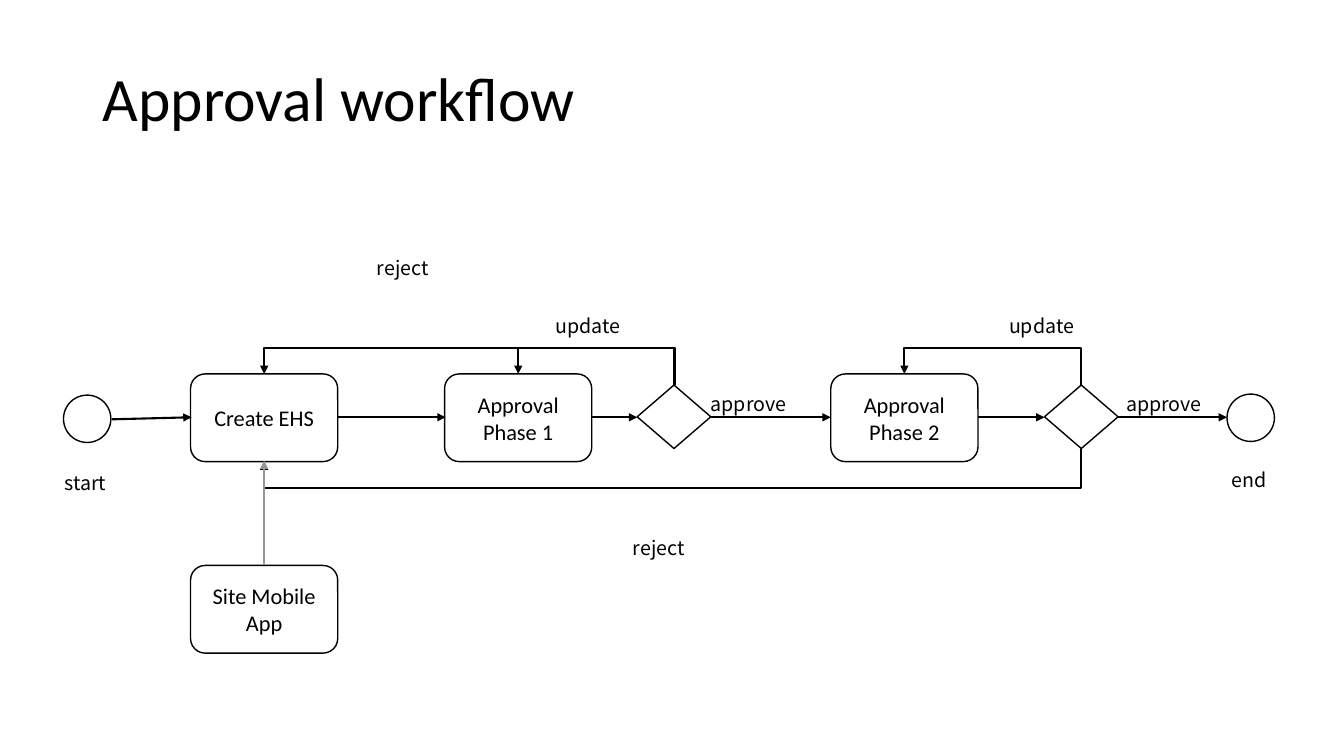
from pptx import Presentation
from pptx.dml.color import RGBColor
from pptx.enum.shapes import MSO_CONNECTOR, MSO_SHAPE
from pptx.enum.text import MSO_ANCHOR, MSO_AUTO_SIZE, PP_ALIGN
from pptx.oxml.ns import qn
from pptx.util import Pt
from lxml import etree

STRAIGHT, ELBOW = MSO_CONNECTOR.STRAIGHT, MSO_CONNECTOR.ELBOW
BOX, GATE, EVENT = MSO_SHAPE.ROUNDED_RECTANGLE, MSO_SHAPE.DIAMOND, MSO_SHAPE.OVAL
MIDDLE, LEFT, CENTER = MSO_ANCHOR.MIDDLE, PP_ALIGN.LEFT, PP_ALIGN.CENTER
GROW = MSO_AUTO_SIZE.SHAPE_TO_FIT_TEXT
PX = 9144  # 100 px to the inch
COLORS = {"ink": "000000", "paper": "FFFFFF", "mobile": "979797"}


def write(frame, text, font, size):
    paragraph = frame.paragraphs[0]
    run = paragraph.add_run()
    run.text = text
    run.font.name = font
    run.font.size = Pt(size)
    run.font.color.rgb = RGBColor.from_string(COLORS["ink"])
    return paragraph


def arrow(kind, x1, y1, x2, y2, color="ink"):
    ends = [round(v * PX) for v in (x1, y1, x2, y2)]
    flow = slide.shapes.add_connector(kind, *ends)
    flow.line.width = Pt(1.5)
    flow.line.color.rgb = RGBColor.from_string(COLORS[color])
    properties = flow.element.spPr
    etree.SubElement(properties.find(qn("a:ln")), qn("a:tailEnd"), type="triangle")
    etree.SubElement(properties, qn("a:effectLst"))
    return properties


prs = Presentation()
prs.slide_width, prs.slide_height = 1333 * PX, 750 * PX
slide = prs.slides.add_slide(prs.slide_layouts[5])

# Title
title = slide.shapes.title
title.left, title.top, title.width, title.height = 92 * PX, 40 * PX, 1006 * PX, 122 * PX
title.text_frame.vertical_anchor = MIDDLE
heading = write(title.text_frame, "Approval workflow", "Calibri", 44)
heading.alignment = LEFT
heading.line_spacing = 0.9

# Steps, gateways and events
SIZES = {BOX: (146, 87), GATE: (73, 63), EVENT: (47, 47)}
nodes = [
    (BOX, 189, 371, "Create EHS"),
    (BOX, 441, 371, "Approval Phase 1"),
    (BOX, 824, 371, "Approval Phase 2"),
    (BOX, 189, 561, "Site Mobile App"),
    (GATE, 632, 382, ""),
    (GATE, 1036, 382, ""),
    (EVENT, 63, 392, ""),
    (EVENT, 1217, 391, ""),
]
for kind, x, y, step in nodes:
    width, height = SIZES[kind]
    node = slide.shapes.add_shape(kind, x * PX, y * PX, width * PX, height * PX)
    node.shadow.inherit = False
    node.fill.solid()
    node.fill.fore_color.rgb = RGBColor.from_string(COLORS["paper"])
    node.line.color.rgb = RGBColor.from_string(COLORS["ink"])
    node.line.width = Pt(1)
    if step:
        node.text_frame.word_wrap = True
        node.text_frame.vertical_anchor = MIDDLE
        write(node.text_frame, step, "Calibri", 16).alignment = CENTER

# Forward flow
arrow(STRAIGHT, 111, 416, 190, 414)
for x1, x2 in [(335, 442), (587, 632), (705, 824), (970, 1036), (1109, 1217)]:
    arrow(STRAIGHT, x1, 414, x2, 414)

# Return flow: leaves a gateway vertically, detours, and enters a step vertically
returns = [
    (669, 382, 514, 371, 345),
    (1072, 382, 897, 371, 345),
    (1072, 445, 262, 458, 484),
    (669, 382, 262, 371, 345),
]
for x1, y1, x2, y2, detour_y in returns:
    center_x, center_y = (x1 + x2) / 2, (y1 + y2) / 2
    rise, run_length = abs(y2 - y1), x1 - x2
    upward = y2 < y1
    half = run_length / 2 if upward else -run_length / 2
    bent = arrow(ELBOW, center_x - rise / 2, center_y + half,
                 center_x + rise / 2, center_y - half)
    bent.find(qn("a:xfrm")).set("rot", str((270 if upward else 90) * 60000))
    detour = round(abs(detour_y - y1) / rise * 100000)
    adjustments = bent.find(qn("a:prstGeom")).find(qn("a:avLst"))
    etree.SubElement(adjustments, qn("a:gd"), name="adj1", fmla=f"val {detour}")

# Mobile entry
arrow(STRAIGHT, 262, 561, 262, 457, "mobile")

# Flow and event labels
labels = [
    ("update", 541, 282, 198),
    ("update", 991, 282, 106),
    ("approve", 1107, 359, 102),
    ("approve", 695, 359, 119),
    ("reject", 618, 502, 87),
    ("reject", 364, 224, 198),
    ("start", 54, 438, 108),
    ("end", 1212, 435, 108),
]
for caption, x, y, width in labels:
    label = slide.shapes.add_textbox(x * PX, y * PX, width * PX, 52 * PX)
    label.text_frame.word_wrap = True
    label.text_frame.auto_size = GROW
    write(label.text_frame, caption, "Noto Sans CJK SC", 14).line_spacing = Pt(34.4)

prs.save("out.pptx")
